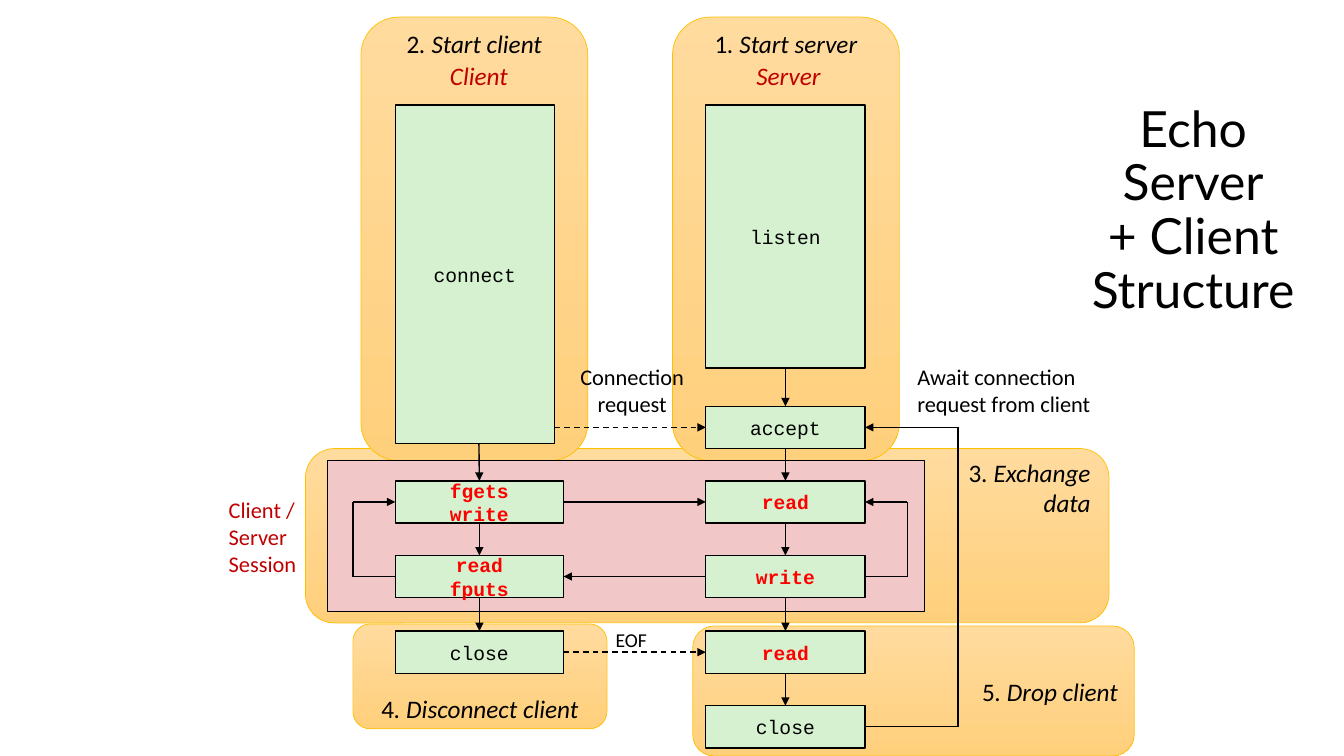
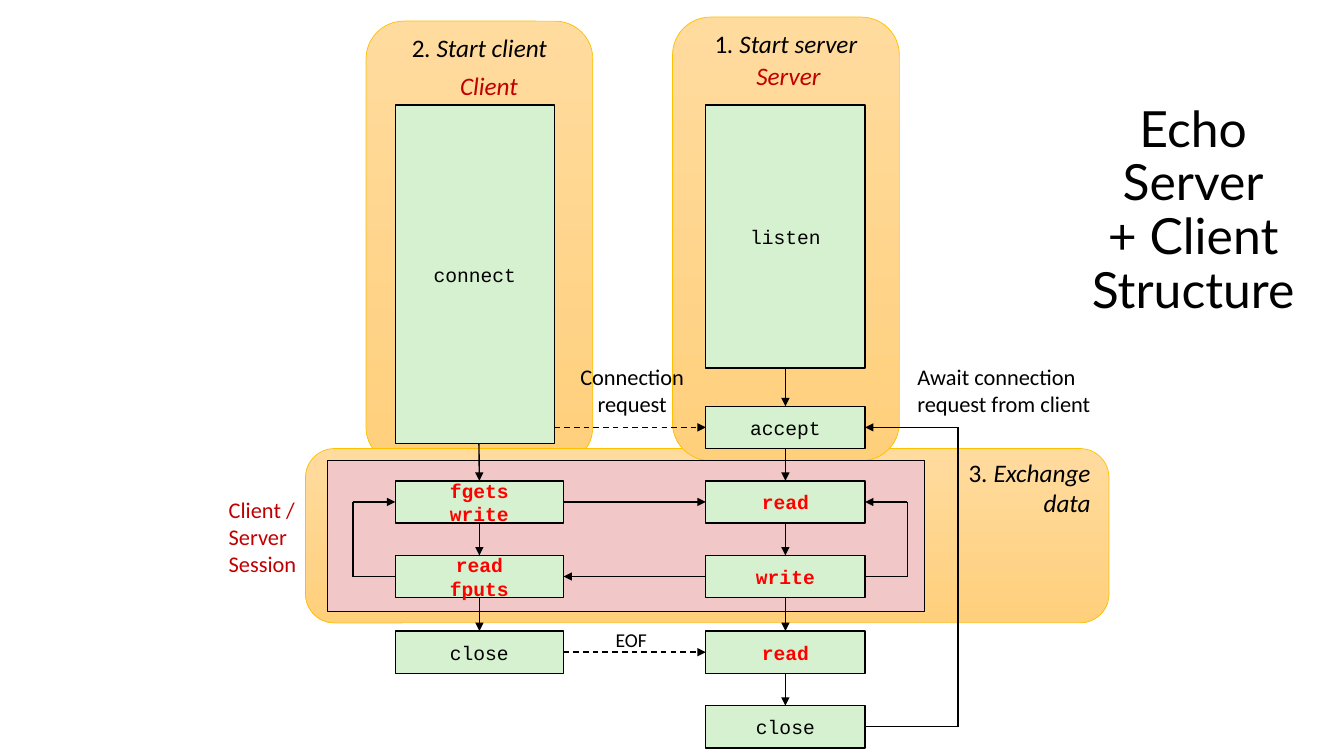
from dataclasses import dataclass

from lxml import etree
from pptx import Presentation
from pptx.dml.color import RGBColor
from pptx.enum.dml import MSO_LINE
from pptx.enum.shapes import MSO_CONNECTOR, MSO_SHAPE
from pptx.enum.text import MSO_ANCHOR, PP_ALIGN
from pptx.oxml.ns import qn
from pptx.util import Inches, Pt


@dataclass(frozen=True)
class Theme:
    black = RGBColor(0x00, 0x00, 0x00)
    dark_red = RGBColor(0xC0, 0x00, 0x00)
    red = RGBColor(0xFF, 0x00, 0x00)
    green = RGBColor(0xD5, 0xF1, 0xCF)
    pink = RGBColor(0xF1, 0xC7, 0xC7)
    panel_top = RGBColor(0xFF, 0xDB, 0x9E)
    panel_bottom = RGBColor(0xFF, 0xD0, 0x7C)
    gold = RGBColor(0xFF, 0xC0, 0x00)
    body_font = "Calibri"
    code_font = "Courier New"
    title_font = "Lato"
    title = Pt(35.6)
    phase = Pt(18)
    note = Pt(16)
    small = Pt(14)
    line = Pt(1)
    thin = Pt(0.5)


T = Theme()
TOP, LEFT, BOTTOM, RIGHT = range(4)
CENTER, TO_LEFT, TO_RIGHT = PP_ALIGN.CENTER, PP_ALIGN.LEFT, PP_ALIGN.RIGHT

CLIENT_X, SERVER_X = 3.92, 7
CLIENT_W, SERVER_W = 1.67, 1.58
BOX_H = 0.42
ACCEPT_Y, RECEIVE_Y, REPLY_Y, END_Y, DROP_Y = 4.03, 4.77, 5.51, 6.26, 7
MID = BOX_H / 2
CLIENT_MID = 4.75

# name: text, left, top, width, height, part of the data exchange
BOXES = {
    "connect": ("connect", CLIENT_X, 1.04, SERVER_W, 3.36, False),
    "send": ("fgets\nwrite", CLIENT_X, RECEIVE_Y, CLIENT_W, BOX_H, True),
    "print": ("read\nfputs", CLIENT_X, REPLY_Y, CLIENT_W, BOX_H, True),
    "client close": ("close", CLIENT_X, END_Y, CLIENT_W, BOX_H, False),
    "listen": ("listen", SERVER_X, 1.04, SERVER_W, 2.61, False),
    "accept": ("accept", SERVER_X, ACCEPT_Y, SERVER_W, BOX_H, False),
    "receive": ("read", SERVER_X, RECEIVE_Y, SERVER_W, BOX_H, True),
    "reply": ("write", SERVER_X, REPLY_Y, SERVER_W, BOX_H, True),
    "read EOF": ("read", SERVER_X, END_Y, SERVER_W, BOX_H, True),
    "server close": ("close", SERVER_X, DROP_Y, SERVER_W, BOX_H, False),
}

# Each stop is a box side or a point; the arrowhead is at the last stop.
ROUTES = [
    ([(CLIENT_MID, 4.4), ("send", TOP)], False),
    ([("send", BOTTOM), ("print", TOP)], False),
    ([("print", BOTTOM), ("client close", TOP)], False),
    ([("send", RIGHT), ("receive", LEFT)], False),
    ([("reply", LEFT), ("print", RIGHT)], False),
    ([(CLIENT_X + SERVER_W, ACCEPT_Y + MID), ("accept", LEFT)], True),
    ([("client close", RIGHT), ("read EOF", LEFT)], True),
    ([("print", LEFT), (3.5, REPLY_Y + MID), (3.5, RECEIVE_Y + MID), ("send", LEFT)], False),
    ([("reply", RIGHT), (9, REPLY_Y + MID), (9, RECEIVE_Y + MID), ("receive", RIGHT)], False),
    ([("server close", RIGHT), (9.5, DROP_Y + MID), (9.5, ACCEPT_Y + MID), ("accept", RIGHT)], False),
]
server_steps = ["listen", "accept", "receive", "reply", "read EOF", "server close"]
for upper, lower in zip(server_steps, server_steps[1:]):
    ROUTES.append(([(upper, BOTTOM), (lower, TOP)], False))

# number, caption, left, top, width, height, alignment, anchor
DROP = ("5", ". Drop client", 6.87, 6.21, 4.38, 1.29, TO_RIGHT, MSO_ANCHOR.MIDDLE)
DISCONNECT = ("4", ". Disconnect client", 3.5, 6.19, 2.52, 1.04, CENTER, MSO_ANCHOR.BOTTOM)
EXCHANGE = ("3", ". Exchange\ndata", 3.03, 4.45, 7.97, 1.73, TO_RIGHT, MSO_ANCHOR.TOP)
START_CLIENT = ("2", ". Start client", 3.58, 0.17, 2.25, 4.4, CENTER, MSO_ANCHOR.TOP)
START_CLIENT_LOW = ("2", ". Start client", 3.63, 0.21, 2.25, 4.4, CENTER, MSO_ANCHOR.TOP)
START_SERVER = ("1", ". Start server", 6.67, 0.17, 2.25, 4.4, CENTER, MSO_ANCHOR.TOP)

# phase panels from back to front, position of the Client label
SLIDES = [
    ([DROP, DISCONNECT, EXCHANGE, START_CLIENT, START_SERVER], (4.36, 0.55)),
    ([START_CLIENT_LOW, EXCHANGE, START_SERVER], (4.46, 0.65)),
]

# text, left, top, width, height, font, size, colour, italic, alignment
LABELS = [
    ("Server", 7.4, 0.55, 0.84, 0.4, T.body_font, T.phase, T.dark_red, True, CENTER),
    ("Client / Server\nSession", 2.17, 4.87, 0.92, 0.9, T.body_font, T.note, T.dark_red, False, TO_LEFT),
    ("Connection\nrequest", 5.64, 3.55, 1.26, 0.64, T.body_font, T.note, T.black, False, CENTER),
    ("Await connection\nrequest from client", 9, 3.55, 2, 0.64, T.body_font, T.note, T.black, False, TO_LEFT),
    ("EOF", 6, 6.18, 0.52, 0.34, T.body_font, T.small, T.black, False, CENTER),
    ("Echo\vServer\v+ Client\vStructure", 10.67, 0.93, 2.33, 2.34, T.title_font, T.title, T.black, False, CENTER),
]


def style_text(tf, font, size, color, align, bold=False, italic=False):
    for p in tf.paragraphs:
        p.alignment = align
        for r in p.runs:
            r.font.name, r.font.size = font, size
            r.font.bold, r.font.italic = bold, italic
            r.font.color.rgb = color


def add_box(s, kind, at, fill, line_color, line_width):
    """Add a shape without shadow; a pair of fill colours makes a vertical gradient."""
    sp = s.shapes.add_shape(kind, *map(Inches, at))
    sp.shadow.inherit = False
    if isinstance(fill, list):
        sp.fill.gradient()
        sp.fill.gradient_angle = 270
        for stop, color in zip(sp.fill.gradient_stops, fill):
            stop.color.rgb = color
    else:
        sp.fill.solid()
        sp.fill.fore_color.rgb = fill
    sp.line.color.rgb = line_color
    sp.line.width = line_width
    return sp


prs = Presentation()
prs.slide_width, prs.slide_height = Inches(13.33), Inches(7.5)

for panels, client_at in SLIDES:
    s = prs.slides.add_slide(prs.slide_layouts[6])

    for number, caption, *at, align, anchor in panels:
        sp = add_box(s, MSO_SHAPE.ROUNDED_RECTANGLE, at, [T.panel_top, T.panel_bottom], T.gold, T.thin)
        tf = sp.text_frame
        tf.vertical_anchor = anchor
        tf.margin_top = 0
        tf.margin_bottom = Inches(0.05 if anchor == MSO_ANCHOR.TOP else 0)
        first, *rest = caption.split("\n")
        tf.text = number
        tf.paragraphs[0].add_run().text = first
        for line in rest:
            tf.add_paragraph().text = line
        style_text(tf, T.body_font, T.phase, T.black, align, italic=True)
        tf.paragraphs[0].runs[0].font.italic = False

    add_box(s, MSO_SHAPE.RECTANGLE, (3.25, 4.57, 5.92, 1.5), T.pink, T.black, T.line)

    boxes = {}
    for name, (text, *at, exchanging) in BOXES.items():
        sp = add_box(s, MSO_SHAPE.RECTANGLE, at, T.green, T.black, T.line)
        tf = sp.text_frame
        tf.text = text
        tf.word_wrap = False
        tf.vertical_anchor = MSO_ANCHOR.MIDDLE
        color = T.red if exchanging else T.black
        style_text(tf, T.code_font, T.small, color, CENTER, bold=exchanging)
        boxes[name] = sp

    for stops, dashed in ROUTES:
        for start, end in zip(stops, stops[1:]):
            ends = [(0, 0) if stop[0] in boxes else stop for stop in (start, end)]
            c = s.shapes.add_connector(MSO_CONNECTOR.STRAIGHT, *map(Inches, ends[0] + ends[1]))
            if start[0] in boxes:
                c.begin_connect(boxes[start[0]], start[1])
            if end[0] in boxes:
                c.end_connect(boxes[end[0]], end[1])
            c.line.color.rgb = T.black
            c.line.width = T.line
            if dashed:
                c.line.dash_style = MSO_LINE.DASH
            spPr = c.element.spPr
            if end is stops[-1]:
                etree.SubElement(spPr.find(qn("a:ln")), qn("a:tailEnd"), type="triangle")
            etree.SubElement(spPr, qn("a:effectLst"))

    client_label = ("Client", *client_at, 0.78, 0.4, T.body_font, T.phase, T.dark_red, True, CENTER)
    for text, *at, font, size, color, italic, align in [client_label, *LABELS]:
        tf = s.shapes.add_textbox(*map(Inches, at)).text_frame
        tf.text = text
        tf.word_wrap = align == TO_LEFT
        tf.vertical_anchor = MSO_ANCHOR.MIDDLE
        style_text(tf, font, size, color, align, italic=italic)
        if font == T.title_font:
            tf.paragraphs[0].line_spacing = 0.9

prs.save("out.pptx")
